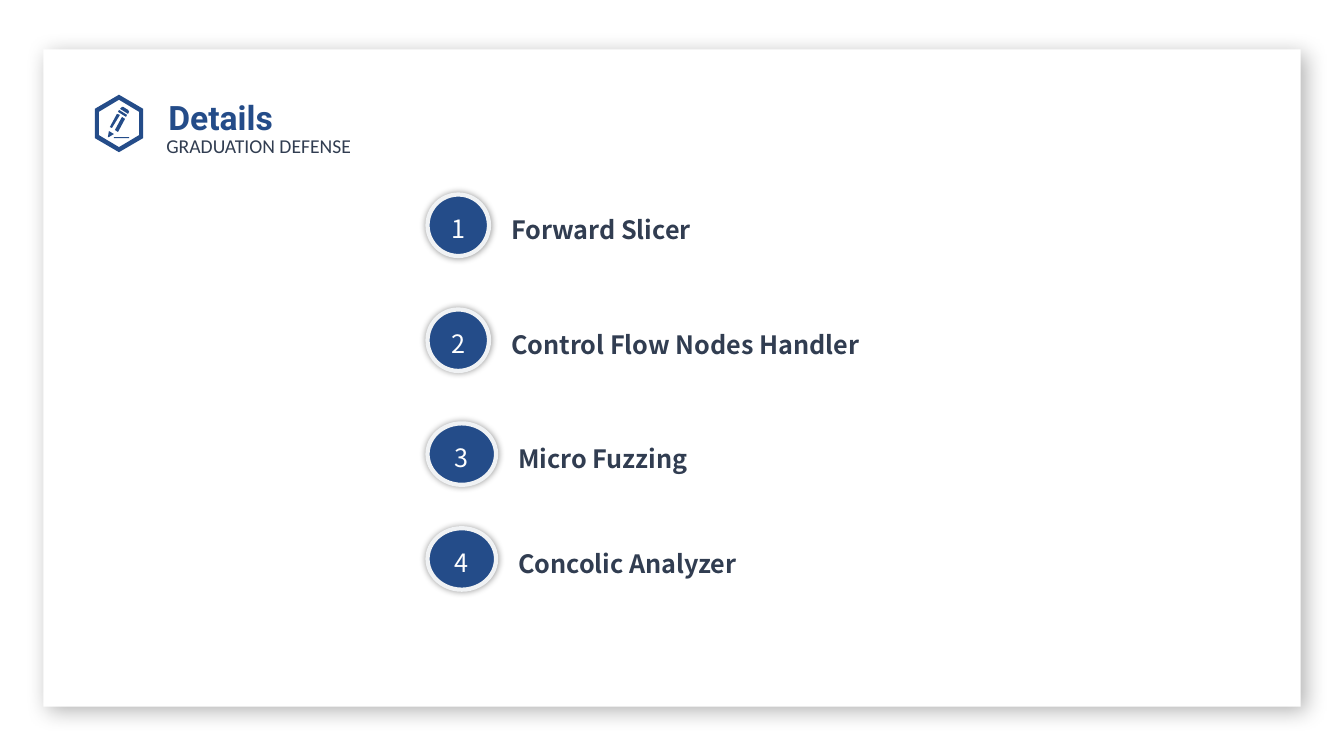
from lxml import etree
from pptx import Presentation
from pptx import util as u
from pptx.dml.color import RGBColor
from pptx.enum import shapes, text
from pptx.oxml import ns

PX = 9144  # 100 px to the inch
NAVY = RGBColor(0x24, 0x4C, 0x89)
SLATE = RGBColor(0x31, 0x3D, 0x51)
PALE = RGBColor(0xF0, 0xF2, 0xF4)
WHITE = RGBColor(0xFF, 0xFF, 0xFF)

ICON_OUTLINES = [
    [(24, 0), (48, 14), (48, 43), (24, 57), (0, 43), (0, 14)],  # hexagon
    [(24, 5), (44, 17), (44, 40), (24, 52), (4, 40), (4, 17)],  # its opening
    [(19, 42), (34, 42), (34, 43), (19, 43)],  # written line
    [(20, 35), (27, 22), (30, 24), (23, 37)],  # pencil sides
    [(15, 32), (22, 19), (25, 20), (17, 33)],
    [(13, 42), (14, 36), (19, 39), (14, 42)],  # tip
    [(24, 15), (23, 17), (31, 22), (32, 20)],  # band
    [(26, 13), (27, 12), (28, 12), (33, 15), (34, 17), (33, 19), (25, 14)],  # eraser
]

# label, top, badge width, label width
TOPICS = [
    ("Forward Slicer", 193, 61, 419),
    ("Control Flow Nodes Handler", 307, 61, 419),
    ("Micro Fuzzing", 420, 68, 447),
    ("Concolic Analyzer", 524, 68, 447),
]


def px(*lengths):
    return [u.Emu(length * PX) for length in lengths]


def cast_shadow(shape, blur, distance, angle, opacity):
    """Add a black outer shadow; blur and distance in points, angle in degrees."""
    shape.shadow.inherit = False
    effects = shape._element.spPr.find(ns.qn("a:effectLst"))
    shadow = etree.SubElement(
        effects, ns.qn("a:outerShdw"), blurRad=str(u.Pt(blur)), dist=str(u.Pt(distance)),
        dir=str(angle * 60000), algn="ctr", rotWithShape="0")
    black = etree.SubElement(shadow, ns.qn("a:srgbClr"), val="000000")
    etree.SubElement(black, ns.qn("a:alpha"), val=str(opacity * 1000))


def write(frame, words, size, font, color, bold=False, spacing=1.2,
          align=text.PP_ALIGN.LEFT):
    frame.word_wrap = True
    frame.text = words
    paragraph = frame.paragraphs[0]
    paragraph.alignment = align
    paragraph.line_spacing = spacing
    paragraph.font.size = u.Pt(size)
    paragraph.font.name = font
    paragraph.font.bold = bold
    paragraph.font.color.rgb = color


def add_card(slide, left, top, width, height):
    card = slide.shapes.add_shape(shapes.MSO_SHAPE.RECTANGLE, *px(left, top, width, height))
    card.fill.solid()
    card.fill.fore_color.rgb = WHITE
    card.line.fill.background()
    cast_shadow(card, blur=15, distance=5, angle=45, opacity=30)
    slide.shapes.title._element.addprevious(card._element)


def add_pencil_icon(slide, left, top):
    first, *others = ICON_OUTLINES
    builder = slide.shapes.build_freeform(*first[0], scale=PX)
    builder.add_line_segments(first[1:], close=True)
    for outline in others:
        builder.move_to(*outline[0])
        builder.add_line_segments(outline[1:], close=True)
    icon = builder.convert_to_shape(*px(left, top))
    icon.fill.solid()
    icon.fill.fore_color.rgb = NAVY
    icon.line.fill.background()
    icon.shadow.inherit = False


def add_header(slide, left, top):
    add_pencil_icon(slide, left, top + 11)

    title = slide.shapes.title
    title.left, title.top, title.width, title.height = px(left + 63, top, 440, 50)
    write(title.text_frame, "Details", 24, "Roboto", NAVY, bold=True)
    title.text_frame.vertical_anchor = text.MSO_ANCHOR.TOP
    title.text_frame.auto_size = text.MSO_AUTO_SIZE.NONE

    subtitle = slide.shapes.add_textbox(*px(left + 71, top + 41, 217, 34)).text_frame
    write(subtitle, "GRADUATION DEFENSE", 14, "Calibri", SLATE, spacing=u.Pt(23))
    subtitle.margin_left = subtitle.margin_right = subtitle.margin_top = 0


def add_topic(slide, left, top, number, label, badge_width, label_width):
    badge = slide.shapes.add_shape(shapes.MSO_SHAPE.OVAL, *px(left, top, badge_width, 61))
    badge.fill.solid()
    badge.fill.fore_color.rgb = NAVY
    badge.line.color.rgb = PALE
    badge.line.width = u.Pt(3)
    cast_shadow(badge, blur=5, distance=0, angle=0, opacity=40)
    write(badge.text_frame, str(number), 18, "Noto Sans CJK SC", WHITE,
          align=text.PP_ALIGN.CENTER)

    caption = slide.shapes.add_textbox(
        *px(left + badge_width + 12, top + 9, label_width, 43))
    write(caption.text_frame, label, 18, "Noto Sans CJK SC", SLATE, bold=True)


def main():
    deck = Presentation()
    deck.slide_width, deck.slide_height = px(1333, 750)
    slide = deck.slides.add_slide(deck.slide_layouts[5])
    add_card(slide, 43, 49, 1247, 652)
    add_header(slide, 94, 83)
    for number, (label, top, badge_width, label_width) in enumerate(TOPICS, 1):
        add_topic(slide, 424, top, number, label, badge_width, label_width)
    deck.save("out.pptx")


if __name__ == "__main__":
    main()
